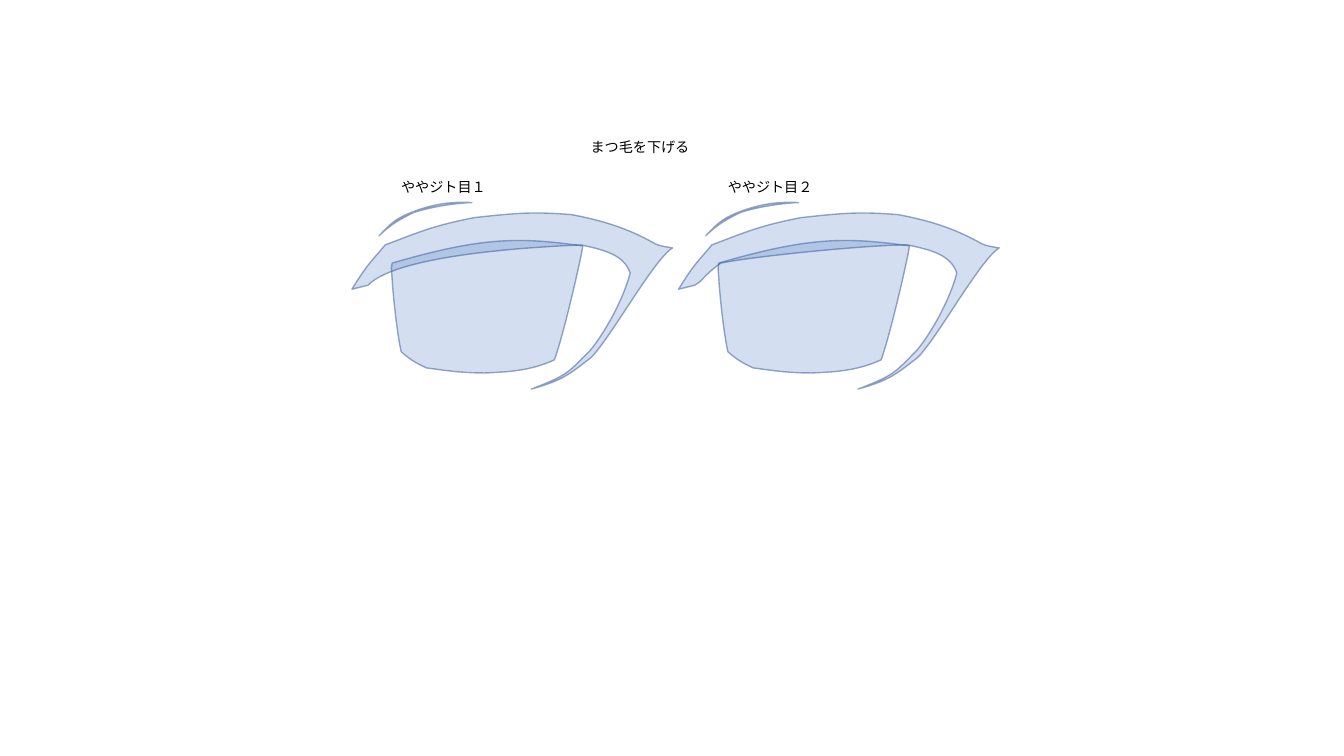
import dataclasses

import pptx
import pptx.dml.color
import pptx.enum.text
import pptx.oxml
import pptx.oxml.ns
import pptx.shapes.autoshape
import pptx.slide
import pptx.util

Inches = pptx.util.Inches
qn = pptx.oxml.ns.qn

COLORS = {"fill": "4472C4", "line": "325491", "text": "000000"}
FILL_ALPHA, LINE_ALPHA = 23, 50
FONT, FONT_SIZE = "Noto Sans CJK SC", 10.1
EYE_PITCH = 3.24

Segment = tuple[float, ...]


@dataclasses.dataclass(frozen=True)
class Outline:
    """Closed outline: a segment of two numbers is a line, of six a curve."""
    start: tuple[float, float]
    segments: tuple[Segment, ...]


@dataclasses.dataclass(frozen=True)
class Eye:
    label: str
    lid_edge: tuple[Segment, ...]


IRIS = Outline((3.89, 2.61), (
    (4.78, 2.35, 5.15, 2.35, 5.78, 2.44),
    (5.78, 2.49, 5.6, 3.29, 5.5, 3.57),
    (5.26, 3.68, 5.04, 3.69, 4.81, 3.7),
    (4.55, 3.7, 4.39, 3.67, 4.23, 3.65),
    (4.17, 3.62, 4.09, 3.59, 3.98, 3.49),
    (3.94, 3.32, 3.9, 2.94, 3.89, 2.77),
    (3.88, 2.63, 3.88, 2.66, 3.89, 2.61),
))
LID_START = (5.76, 2.43)
LASHES = (
    (3.49, 2.87),
    (3.65, 2.61, 3.68, 2.6, 3.82, 2.43),
    (4.19, 2.29, 4.3, 2.24, 4.7, 2.16),
    (5.15, 2.11, 5.3, 2.1, 5.67, 2.13),
    (6.04, 2.2, 6.27, 2.29, 6.5, 2.42),
    (6.57, 2.45, 6.62, 2.45, 6.67, 2.46),
    (6.48, 2.58, 6.06, 3.35, 5.86, 3.55),
    (5.66, 3.7, 5.6, 3.77, 5.27, 3.86),
    (5.64, 3.72, 5.64, 3.69, 5.85, 3.48),
    (5.97, 3.34, 6.17, 3.01, 6.25, 2.71),
    (6.19, 2.53, 6, 2.48, 5.76, 2.43),
)
CREASE = Outline((3.76, 2.34), (
    (3.88, 2.21, 3.94, 2.16, 4.1, 2.1),
    (4.31, 2.02, 4.49, 2, 4.68, 2.01),
    (4.47, 2.02, 4.25, 2.06, 4.1, 2.11),
    (3.98, 2.17, 3.88, 2.22, 3.76, 2.34),
))
EYES = (
    Eye("ややジト目１", ((5.33, 2.45, 3.95, 2.52, 3.65, 2.83),)),
    Eye("ややジト目２", (
        (5.37, 2.43, 4.26, 2.54, 3.91, 2.61),
        (3.73, 2.74, 3.72, 2.8, 3.65, 2.83),
    )),
)


def rgb(name: str) -> pptx.dml.color.RGBColor:
    return pptx.dml.color.RGBColor.from_string(COLORS[name])


def bend(sp: pptx.shapes.autoshape.Shape, segments: tuple[Segment, ...]) -> None:
    """Join each three straight pieces of a curved segment into one Bézier."""
    pieces = iter(list(sp._element.iter(qn("a:lnTo"))))
    for segment in segments:
        first = next(pieces)
        if len(segment) == 6:
            curve = pptx.oxml.parse_xml(
                f'<a:cubicBezTo {pptx.oxml.ns.nsdecls("a")}/>')
            first.addprevious(curve)
            for piece in (first, next(pieces), next(pieces)):
                curve.append(piece[0])
                piece.getparent().remove(piece)


def draw_outline(shapes, outline: Outline, dx: float) -> None:
    def point(x: float, y: float) -> tuple[int, int]:
        return Inches(x + dx), Inches(y)

    builder = shapes.build_freeform(*point(*outline.start))
    builder.add_line_segments([
        point(*segment[i:i + 2])
        for segment in outline.segments for i in range(0, len(segment), 2)
    ], close=True)
    sp = builder.convert_to_shape()
    bend(sp, outline.segments)
    sp.shadow.inherit = False
    sp.fill.solid()
    sp.fill.fore_color.rgb = rgb("fill")
    sp.line.color.rgb = rgb("line")
    sp.line.width = pptx.util.Pt(1)
    colors = sp._element.spPr.iter(qn("a:srgbClr"))
    for color, percent in zip(list(colors), (FILL_ALPHA, LINE_ALPHA)):
        color.append(pptx.oxml.parse_xml(
            f'<a:alpha {pptx.oxml.ns.nsdecls("a")} val="{percent * 1000}"/>'))


def add_label(shapes, text: str, x: float, y: float, width: float) -> None:
    tf = shapes.add_textbox(
        Inches(x), Inches(y), Inches(width), Inches(0.27)).text_frame
    tf.word_wrap = False
    tf.auto_size = pptx.enum.text.MSO_AUTO_SIZE.SHAPE_TO_FIT_TEXT
    r = tf.paragraphs[0].add_run()
    r.text = text
    r.font.size = pptx.util.Pt(FONT_SIZE)
    r.font.name = FONT
    r.font.color.rgb = rgb("text")
    r.font._element.find(qn("a:latin")).addnext(pptx.oxml.parse_xml(
        f'<a:ea {pptx.oxml.ns.nsdecls("a")} typeface="{FONT}"/>'))


def draw_eye(slide: pptx.slide.Slide, eye: Eye, dx: float) -> None:
    shapes = slide.shapes.add_group_shape().shapes
    lid = Outline(LID_START, eye.lid_edge + LASHES)
    for outline in (IRIS, lid, CREASE):
        draw_outline(shapes, outline, dx)
    add_label(shapes, eye.label, 3.88 + dx, 1.72, 1.05)


def main() -> None:
    prs = pptx.Presentation()
    prs.slide_width, prs.slide_height = Inches(13.33), Inches(7.5)
    slide = prs.slides.add_slide(prs.slide_layouts[6])
    for i, eye in enumerate(EYES):
        draw_eye(slide, eye, i * EYE_PITCH)
    add_label(slide.shapes, "まつ毛を下げる", 5.76, 1.32, 1.2)
    prs.save("out.pptx")


if __name__ == "__main__":
    main()
